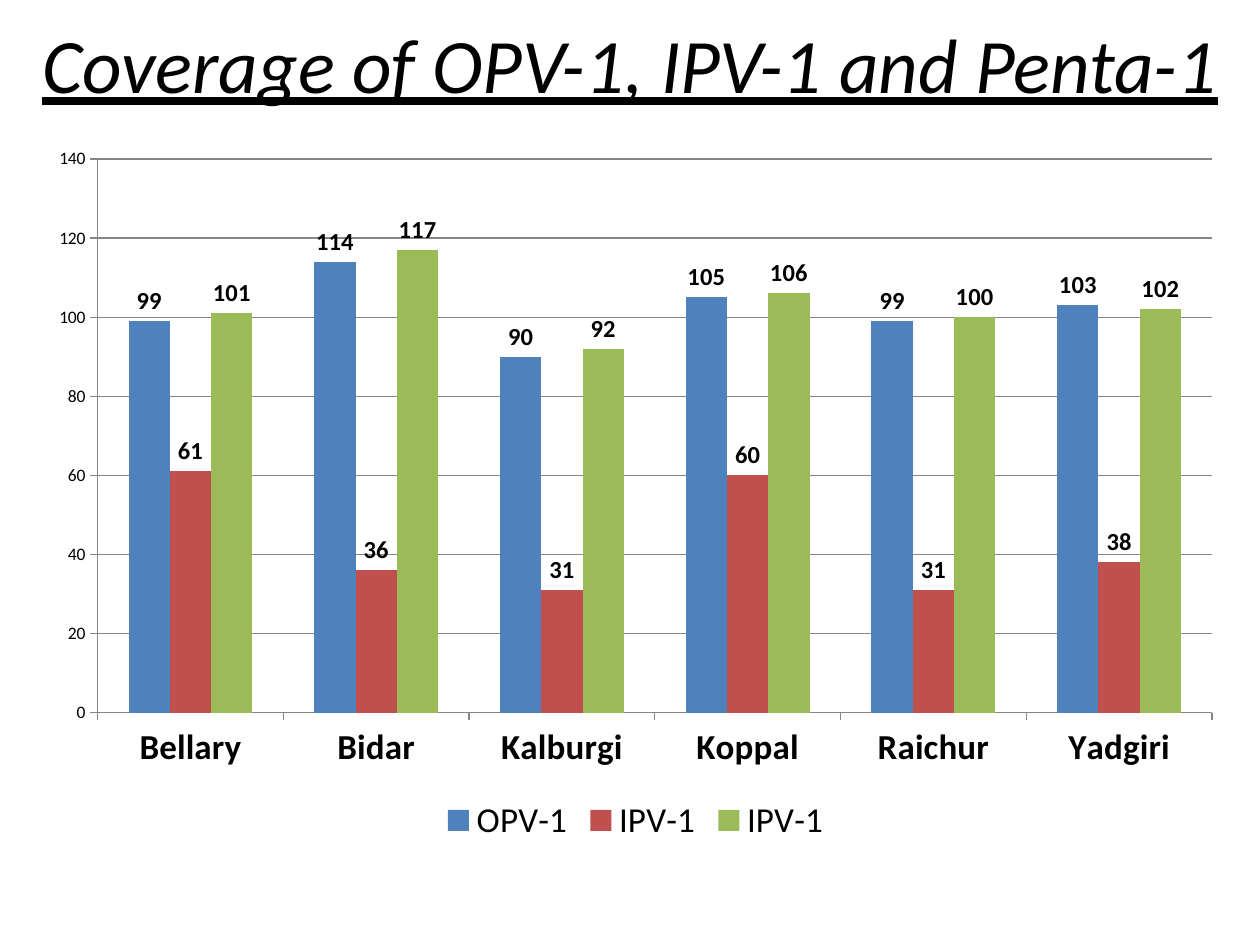
from pptx import Presentation
from pptx.chart.data import CategoryChartData
from pptx.dml.color import RGBColor
from pptx.enum.chart import XL_CHART_TYPE, XL_LABEL_POSITION, XL_LEGEND_POSITION, XL_TICK_MARK
from pptx.enum.text import MSO_ANCHOR, PP_ALIGN
from pptx.util import Inches, Pt

COLORS = {"text": "000000", "axis": "868686",
          "blue": "4F81BD", "red": "C0504D", "green": "9BBB59"}
FONT = "Calibri"
DISTRICTS = ["Bellary", "Bidar", "Kalburgi", "Koppal", "Raichur", "Yadgiri"]
SERIES = [
    ("OPV-1", [99, 114, 90, 105, 99, 103], "blue"),
    ("IPV-1", [61, 36, 31, 60, 31, 38], "red"),
    ("IPV-1", [101, 117, 92, 106, 100, 102], "green"),
]


def color(name):
    return RGBColor.from_string(COLORS[name])


def set_font(font, size, bold=False):
    font.name = FONT
    font.size = Pt(size)
    font.bold = bold
    font.color.rgb = color("text")


prs = Presentation()
prs.slide_width = Inches(10)
prs.slide_height = Inches(7.5)
s = prs.slides.add_slide(prs.slide_layouts[5])

title = s.shapes.title
title.left, title.top = Inches(0), Inches(0)
title.width, title.height = Inches(10), Inches(0.99)
tf = title.text_frame
tf.text = "Coverage of OPV-1, IPV-1 and Penta-1"
tf.word_wrap = True
tf.vertical_anchor = MSO_ANCHOR.MIDDLE
p = tf.paragraphs[0]
p.alignment = PP_ALIGN.CENTER
r = p.runs[0]
set_font(r.font, 44)
r.font.italic = True
r.font.underline = True

data = CategoryChartData(number_format="0")
data.categories = DISTRICTS
for name, values, _ in SERIES:
    data.add_series(name, values)
chart = s.shapes.add_chart(XL_CHART_TYPE.COLUMN_CLUSTERED, Inches(0.28), Inches(1.07),
                           Inches(9.53), Inches(5.67), data).chart
set_font(chart.font, 10)
chart.has_title = False
chart.has_legend = True
chart.legend.position = XL_LEGEND_POSITION.BOTTOM
chart.legend.include_in_layout = False
set_font(chart.legend.font, 20)

plot = chart.plots[0]
plot.gap_width = 150
plot.overlap = 0
plot.vary_by_categories = False
for series, (_, _, fill) in zip(plot.series, SERIES):
    series.format.fill.solid()
    series.format.fill.fore_color.rgb = color(fill)
    series.invert_if_negative = False
    labels = series.data_labels
    labels.show_value = True
    labels.number_format = "0"
    labels.number_format_is_linked = False
    labels.position = XL_LABEL_POSITION.OUTSIDE_END
    set_font(labels.font, 14, bold=True)

for axis, size, bold in [(chart.category_axis, 20, True), (chart.value_axis, 10, False)]:
    axis.major_tick_mark = XL_TICK_MARK.OUTSIDE
    axis.minor_tick_mark = XL_TICK_MARK.NONE
    axis.format.line.color.rgb = color("axis")
    set_font(axis.tick_labels.font, size, bold)

values = chart.value_axis
values.minimum_scale, values.maximum_scale, values.major_unit = 0, 140, 20
values.tick_labels.number_format = "0"
values.tick_labels.number_format_is_linked = False
values.has_major_gridlines = True
values.major_gridlines.format.line.color.rgb = color("axis")

prs.save("out.pptx")
